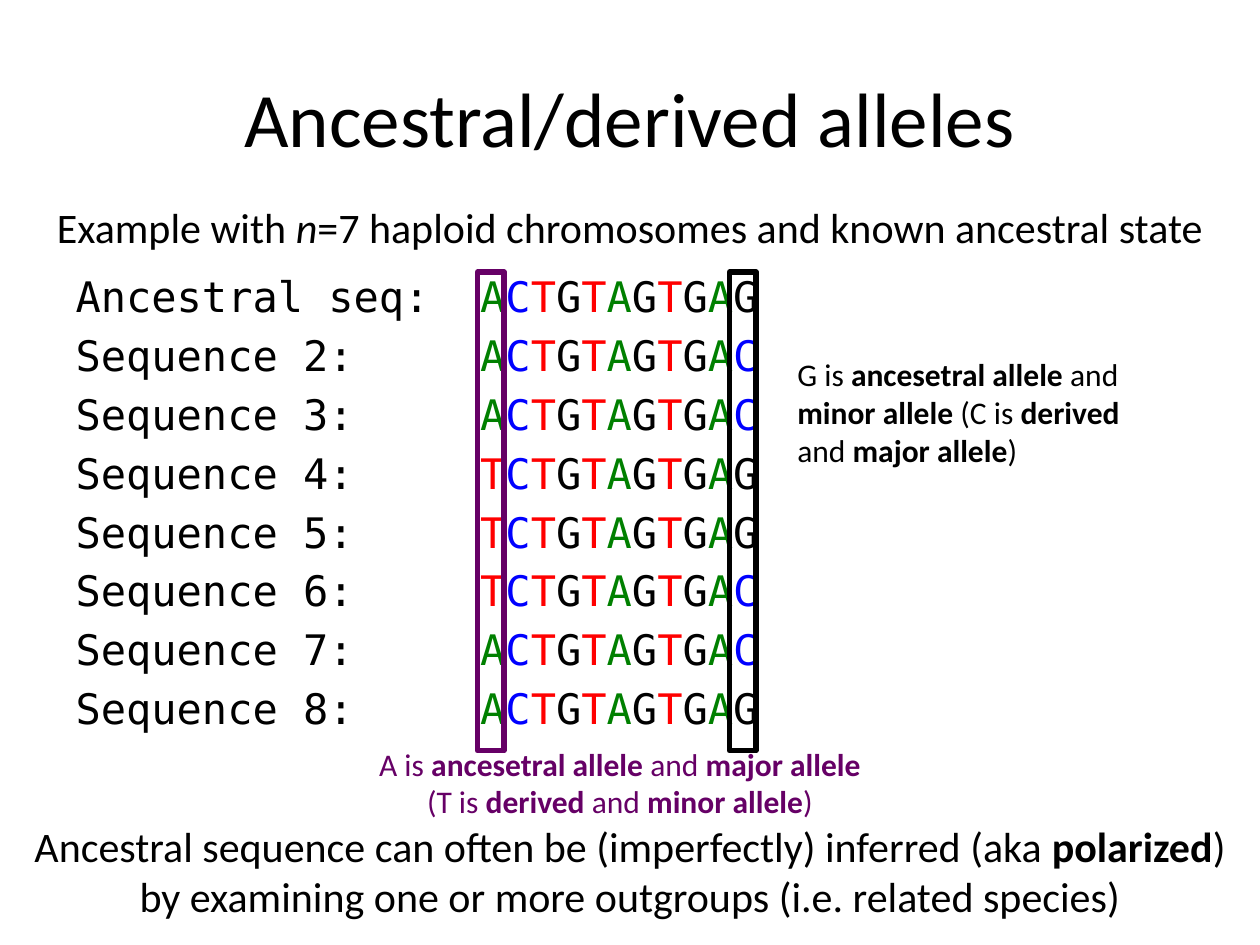
from dataclasses import dataclass, field

from lxml import etree
from pptx import Presentation
from pptx.dml.color import RGBColor
from pptx.enum.shapes import MSO_SHAPE
from pptx.enum.text import MSO_ANCHOR, MSO_AUTO_SIZE, PP_ALIGN
from pptx.oxml.ns import qn
from pptx.util import Inches, Pt

RECTANGLE = MSO_SHAPE.RECTANGLE
LEFT, CENTER = PP_ALIGN.LEFT, PP_ALIGN.CENTER
MIDDLE = MSO_ANCHOR.MIDDLE
NO_FIT = MSO_AUTO_SIZE.NONE


@dataclass(frozen=True)
class Theme:
    sans: str = "Calibri"
    mono: str = "DejaVu Sans Mono"
    title: int = 44
    body: int = 24
    note: int = 18
    ink: str = "000000"
    accent: str = "660066"
    bases: dict = field(default_factory=lambda: {
        "A": "008000", "C": "0000FF", "T": "FF0000", "G": "000000"})


THEME = Theme()

# Each chromosome carries the shared middle between its two variable sites
SHARED_SITES = "CTGTAGTGA"
VARIABLE_SITES = ["AG", "AC", "AC", "TG", "TG", "TC", "AC", "AG"]
LABEL_COLUMNS = 16  # monospaced columns before the first base
BASE_WIDTH = 0.2
FIRST_BASE = 3.79


def add_span(para, text, *, size=THEME.body, color=THEME.ink, font=THEME.sans,
             bold=False, italic=False):
    span = para.add_run()
    span.text = text
    span.font.name = font
    span.font.size = Pt(size)
    span.font.color.rgb = RGBColor.from_string(color)
    span.font.bold = bold
    span.font.italic = italic


def place(box, left, top, width, height):
    box.left, box.top = Inches(left), Inches(top)
    box.width, box.height = Inches(width), Inches(height)


def add_note(page, bounds, text, *, align=LEFT, emphasis="bold", **style):
    """Add a text box; the parts of text between bars are emphasised."""
    box = page.shapes.add_textbox(*map(Inches, bounds))
    box.text_frame.word_wrap = True
    para = box.text_frame.paragraphs[0]
    para.alignment = align
    for index, part in enumerate(text.split("|")):
        add_span(para, part, **{emphasis: index % 2 == 1}, **style)


def remove_bullet(para):
    properties = para._p.get_or_add_pPr()
    properties.set("marL", "0")
    properties.set("indent", "0")
    etree.SubElement(properties, qn("a:buNone"))


def fill_title(box, text):
    place(box, 0, 0.3, 10, 1.25)
    box.text_frame.vertical_anchor = MIDDLE
    para = box.text_frame.paragraphs[0]
    para.alignment = CENTER
    add_span(para, text, size=THEME.title)


def fill_alignment(box):
    place(box, 0.5, 2.1, 6.85, 4.95)
    frame = box.text_frame
    frame.auto_size = NO_FIT
    for number, (first, last) in enumerate(VARIABLE_SITES, start=1):
        para = frame.paragraphs[0] if number == 1 else frame.add_paragraph()
        remove_bullet(para)
        label = "Ancestral seq:" if number == 1 else f"Sequence {number}:"
        add_span(para, label.ljust(LABEL_COLUMNS), font=THEME.mono)
        for base in first + SHARED_SITES + last:
            add_span(para, base, font=THEME.mono, color=THEME.bases[base])


def add_site_frame(page, site, color):
    left = FIRST_BASE + site * BASE_WIDTH
    box = page.shapes.add_shape(RECTANGLE, Inches(left), Inches(2.16),
                                Inches(0.21), Inches(3.8))
    box.shadow.inherit = False
    box.fill.background()
    box.line.color.rgb = RGBColor.from_string(color)
    box.line.width = Pt(3)


def main():
    deck = Presentation()
    deck.slide_width, deck.slide_height = Inches(10), Inches(7.5)
    page = deck.slides.add_slide(deck.slide_layouts[1])

    # Title and aligned sequences
    fill_title(page.shapes.title, "Ancestral/derived alleles")
    fill_alignment(page.placeholders[1])

    # Introduction and conclusion
    add_note(page, (0, 1.55, 10, 0.5),
             "Example with |n|=7 haploid chromosomes and known ancestral state",
             align=CENTER, emphasis="italic")
    add_note(page, (0, 6.46, 10, 0.91),
             "Ancestral sequence can often be (imperfectly) inferred (aka "
             "|polarized|) by examining one or more outgroups "
             "(i.e. related species)", align=CENTER)

    # First variable site
    add_site_frame(page, 0, THEME.accent)
    add_note(page, (2.82, 5.86, 4.2, 0.71),
             "A is |ancesetral allele| and |major allele |(T is |derived| and"
             "| minor allele|)",
             align=CENTER, size=THEME.note, color=THEME.accent)

    # Last variable site
    add_site_frame(page, len(SHARED_SITES) + 1, THEME.ink)
    add_note(page, (6.23, 2.77, 2.79, 1.01),
             "G is |ancesetral allele| and |minor allele |(C is |derived| and"
             "| major allele|)", size=THEME.note)

    deck.save("out.pptx")


if __name__ == "__main__":
    main()
